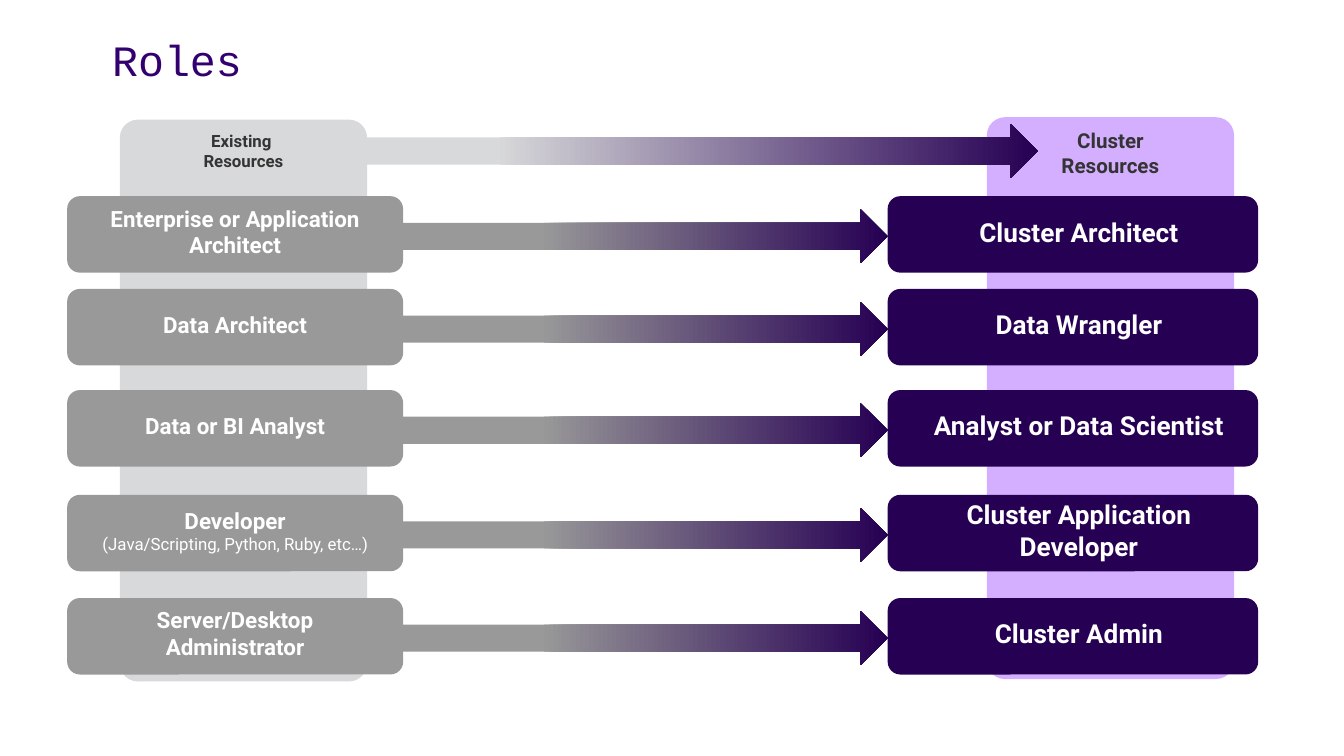
from dataclasses import dataclass

from pptx import Presentation
from pptx.dml.color import RGBColor
from pptx.enum.shapes import MSO_SHAPE
from pptx.enum.text import MSO_ANCHOR, PP_ALIGN
from pptx.util import Pt

ROUNDED = MSO_SHAPE.ROUNDED_RECTANGLE
RIGHT_ARROW = MSO_SHAPE.RIGHT_ARROW
TOP, MIDDLE = MSO_ANCHOR.TOP, MSO_ANCHOR.MIDDLE
CENTER = PP_ALIGN.CENTER


@dataclass(frozen=True)
class Theme:
    body_font: str = "Roboto"
    title_font: str = "Courier New"
    title: str = "33006F"
    heading: str = "343434"
    white: str = "FFFFFF"
    pale_gray: str = "D8D9DA"
    gray: str = "999999"
    lilac: str = "D4AFFF"
    purple: str = "260053"
    title_size: float = 23.2
    new_role_size: float = 14
    old_role_size: float = 12
    new_heading_size: float = 11
    old_heading_size: float = 9
    detail_size: float = 9


THEME = Theme()

# Each row: top, existing role, detail below it, role it leads to
ROLES = [
    (105.1, "Enterprise or Application\nArchitect", "", "Cluster Architect"),
    (154.8, "Data Architect", "", "Data Wrangler"),
    (209, "Data or BI Analyst", "", "Analyst or Data Scientist"),
    (265.1, "Developer", "(Java/Scripting, Python, Ruby, etc…)",
     "Cluster Application\nDeveloper"),
    (320.4, "Server/Desktop\nAdministrator", "", "Cluster Admin"),
]
OLD_LEFT, OLD_WIDTH = 36, 180
NEW_LEFT, NEW_WIDTH = 475.5, 198.5
ROLE_HEIGHT = 41
ARROW_LEFT, ARROW_WIDTH, ARROW_HEIGHT = 213, 262.5, 29
ARROW_DROP = 7


def style_run(run, size, color, font=THEME.body_font, bold=True):
    run.font.name = font
    run.font.size = Pt(size)
    run.font.bold = bold
    run.font.color.rgb = RGBColor.from_string(color)


def add_plain_shape(slide, kind, box):
    shape = slide.shapes.add_shape(kind, *map(Pt, box))
    shape.shadow.inherit = False
    shape.line.fill.background()
    return shape


def add_panel(slide, box, fill, text, size, color, anchor=MIDDLE, top_inset=0):
    """Rounded rectangle with centred bold text."""
    shape = add_plain_shape(slide, ROUNDED, box)
    shape.fill.solid()
    shape.fill.fore_color.rgb = RGBColor.from_string(fill)
    frame = shape.text_frame
    frame.word_wrap = True
    frame.vertical_anchor = anchor
    frame.margin_left = frame.margin_right = 0
    frame.margin_top, frame.margin_bottom = Pt(top_inset), Pt(3)
    frame.text = text
    for paragraph in frame.paragraphs:
        paragraph.alignment = CENTER
        for run in paragraph.runs:
            style_run(run, size, color)
    return shape


def add_column(slide, box, fill, text, size):
    column = add_panel(slide, box, fill, text, size, THEME.heading, TOP, 3)
    column.adjustments[0] = 0.073


def add_fading_arrow(slide, box, start_color):
    arrow = add_plain_shape(slide, RIGHT_ARROW, box)
    arrow.fill.gradient()
    arrow.fill.gradient_angle = 0
    stops = arrow.fill.gradient_stops
    for stop, position, color in zip(stops, (0.29, 1), (start_color, THEME.purple)):
        stop.position = position
        stop.color.rgb = RGBColor.from_string(color)


def add_title(slide, box, text):
    frame = slide.shapes.add_textbox(*map(Pt, box)).text_frame
    frame.word_wrap = True
    frame.text = text
    paragraph = frame.paragraphs[0]
    paragraph.line_spacing = 0.7
    paragraph.space_before = Pt(4.6)
    style_run(paragraph.runs[0], THEME.title_size, THEME.title,
              THEME.title_font, bold=False)


def add_old_role(slide, box, text, detail):
    panel = add_panel(slide, box, THEME.gray, text,
                      THEME.old_role_size, THEME.white)
    if detail:
        paragraph = panel.text_frame.paragraphs[0]
        paragraph.add_line_break()
        run = paragraph.add_run()
        run.text = detail
        style_run(run, THEME.detail_size, THEME.white, bold=False)


def add_new_role(slide, box, text):
    panel = add_panel(slide, box, THEME.purple, text,
                      THEME.new_role_size, THEME.white)
    panel.text_frame.margin_left = Pt(6.5)


def add_columns(slide):
    add_column(slide, (528.7, 62.8, 132.5, 301), THEME.lilac,
               "Cluster\nResources", THEME.new_heading_size)
    add_fading_arrow(slide, (146.5, 66.4, 409.5, ARROW_HEIGHT), THEME.pale_gray)
    add_column(slide, (64.2, 64.1, 132.5, 301), THEME.pale_gray,
               "Existing \vResources", THEME.old_heading_size)


def add_role_row(slide, top, old_role, detail, new_role):
    add_old_role(slide, (OLD_LEFT, top, OLD_WIDTH, ROLE_HEIGHT), old_role, detail)
    add_new_role(slide, (NEW_LEFT, top, NEW_WIDTH, ROLE_HEIGHT), new_role)
    add_fading_arrow(
        slide, (ARROW_LEFT, top + ARROW_DROP, ARROW_WIDTH, ARROW_HEIGHT), THEME.gray)


def main():
    presentation = Presentation()
    presentation.slide_width, presentation.slide_height = Pt(720), Pt(405)
    slide = presentation.slides.add_slide(presentation.slide_layouts[6])
    add_columns(slide)
    add_title(slide, (53, 21.6, 644, 26.6), "Roles")
    for role in ROLES:
        add_role_row(slide, *role)
    presentation.save("out.pptx")


if __name__ == "__main__":
    main()
